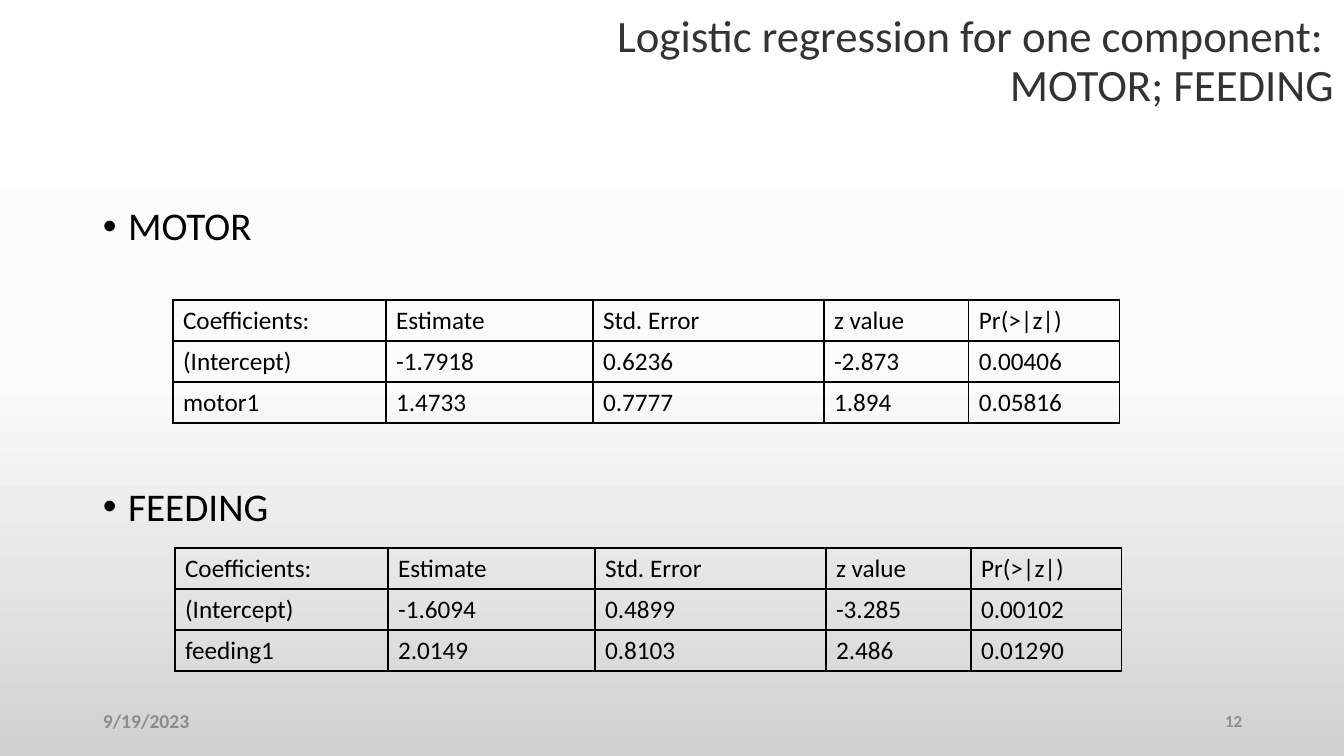
from lxml.etree import SubElement
from pptx import Presentation
from pptx.dml.color import RGBColor
from pptx.enum.text import MSO_ANCHOR, PP_ALIGN
from pptx.oxml.ns import qn
from pptx.util import Emu, Pt

EMU_PER_PX = 914400 / 100.8
HEADINGS = ["Coefficients:", "Estimate", "Std. Error", "z value", "Pr(>|z|)"]
COLUMN_WIDTHS = [213, 207, 231, 145, 151]
ROW_HEIGHT = 41


def px(length):
    return Emu(round(length * EMU_PER_PX))


def colour(value):
    return RGBColor.from_string(value)


class SlideBuilder:
    font = "Calibri"
    black = "000000"
    title_grey = "333333"
    footer_grey = "8C8C8C"

    def __init__(self, page):
        self.page = page

    def background(self, stops):
        fill = self.page.background.fill
        fill.gradient()
        fill.gradient_angle = 270
        stop_list = next(self.page.element.iter(qn("a:gsLst")))
        stop_list.clear()
        for percent, value in stops:
            stop = SubElement(stop_list, qn("a:gs"), pos=str(percent * 1000))
            SubElement(stop, qn("a:srgbClr"), val=value)

    def span(self, para, text, size, value, bold=False):
        run = para.add_run()
        run.text = text
        run.font.name = self.font
        run.font.size = Pt(size)
        run.font.bold = bold
        run.font.color.rgb = colour(value)

    def box(self, left, top, width, height, anchor=MSO_ANCHOR.MIDDLE):
        frame = self.page.shapes.add_textbox(
            px(left), px(top), px(width), px(height)).text_frame
        frame.word_wrap = True
        frame.vertical_anchor = anchor
        return frame

    def title(self, lines):
        frame = self.box(184, 15, 1160, 146)
        frame.margin_bottom = px(56)
        para = frame.paragraphs[0]
        para.alignment = PP_ALIGN.RIGHT
        para.line_spacing = 0.9
        for number, line in enumerate(lines):
            if number:
                para.add_line_break()
            self.span(para, line, 32, self.title_grey)

    def bullets(self, labels, gap):
        frame = self.box(93, 202, 1159, 480, MSO_ANCHOR.TOP)
        for number, label in enumerate(labels):
            para = frame.add_paragraph() if number else frame.paragraphs[0]
            para.line_spacing = 0.9
            para.space_before = Pt(gap if number else 0)
            properties = para._p.get_or_add_pPr()
            properties.set("marL", "228600")
            properties.set("indent", "-228600")
            SubElement(properties, qn("a:buFont"), typeface="Arial")
            SubElement(properties, qn("a:buChar"), char="•")
            self.span(para, label, 28, self.black)

    def footer(self, left, text, size, alignment):
        para = self.box(left, 701, 302, 40).paragraphs[0]
        para.alignment = alignment
        self.span(para, text, size, self.footer_grey, bold=True)

    def borders(self, cell):
        properties = cell._tc.get_or_add_tcPr()
        for side in ("lnL", "lnR", "lnT", "lnB"):
            line = SubElement(properties, qn(f"a:{side}"), w=str(Pt(1)))
            solid = SubElement(line, qn("a:solidFill"))
            SubElement(solid, qn("a:srgbClr"), val=self.black)

    def table(self, left, top, rows):
        table = self.page.shapes.add_table(
            len(rows), len(COLUMN_WIDTHS), px(left), px(top),
            px(sum(COLUMN_WIDTHS)), px(ROW_HEIGHT * len(rows))).table
        table.first_row = table.horz_banding = False
        for column, width in zip(table.columns, COLUMN_WIDTHS):
            column.width = px(width)
        for row, texts in zip(table.rows, rows):
            row.height = px(ROW_HEIGHT)
            for cell, text in zip(row.cells, texts):
                self.borders(cell)
                cell.fill.background()
                self.span(cell.text_frame.paragraphs[0], text, 18, self.black)


def main():
    deck = Presentation()
    deck.slide_width, deck.slide_height = px(1344), px(756)
    slide = SlideBuilder(deck.slides.add_slide(deck.slide_layouts[6]))

    # Background and headings
    slide.background([(0, "FFFFFF"), (50, "FBFBFB"), (100, "D1D1D1")])
    slide.title(["Logistic regression for one component: ", "MOTOR; FEEDING"])
    slide.bullets(["MOTOR", "FEEDING"], gap=170)

    # Regression coefficients
    slide.table(173, 300, [
        HEADINGS,
        ["(Intercept)", "-1.7918", "0.6236", "-2.873", "0.00406"],
        ["motor1", "1.4733", "0.7777", "1.894", "0.05816"],
    ])
    slide.table(175, 548, [
        HEADINGS,
        ["(Intercept)", "-1.6094", "0.4899", "-3.285", "0.00102"],
        ["feeding1", "2.0149", "0.8103", "2.486", "0.01290"],
    ])

    # Date and page number
    slide.footer(93, "9/19/2023", 14, PP_ALIGN.LEFT)
    slide.footer(950, "12", 12, PP_ALIGN.RIGHT)

    deck.save("out.pptx")


if __name__ == "__main__":
    main()
